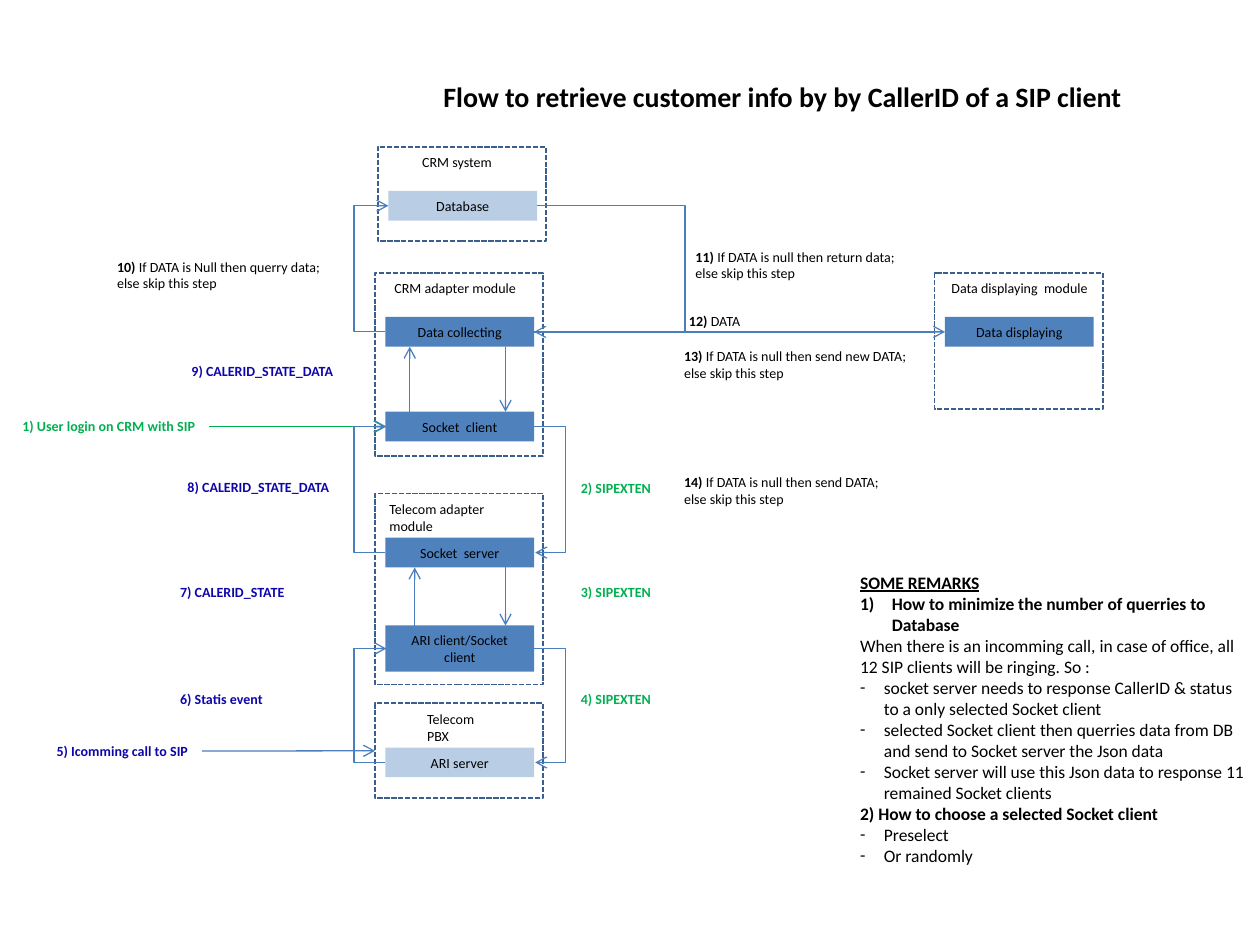
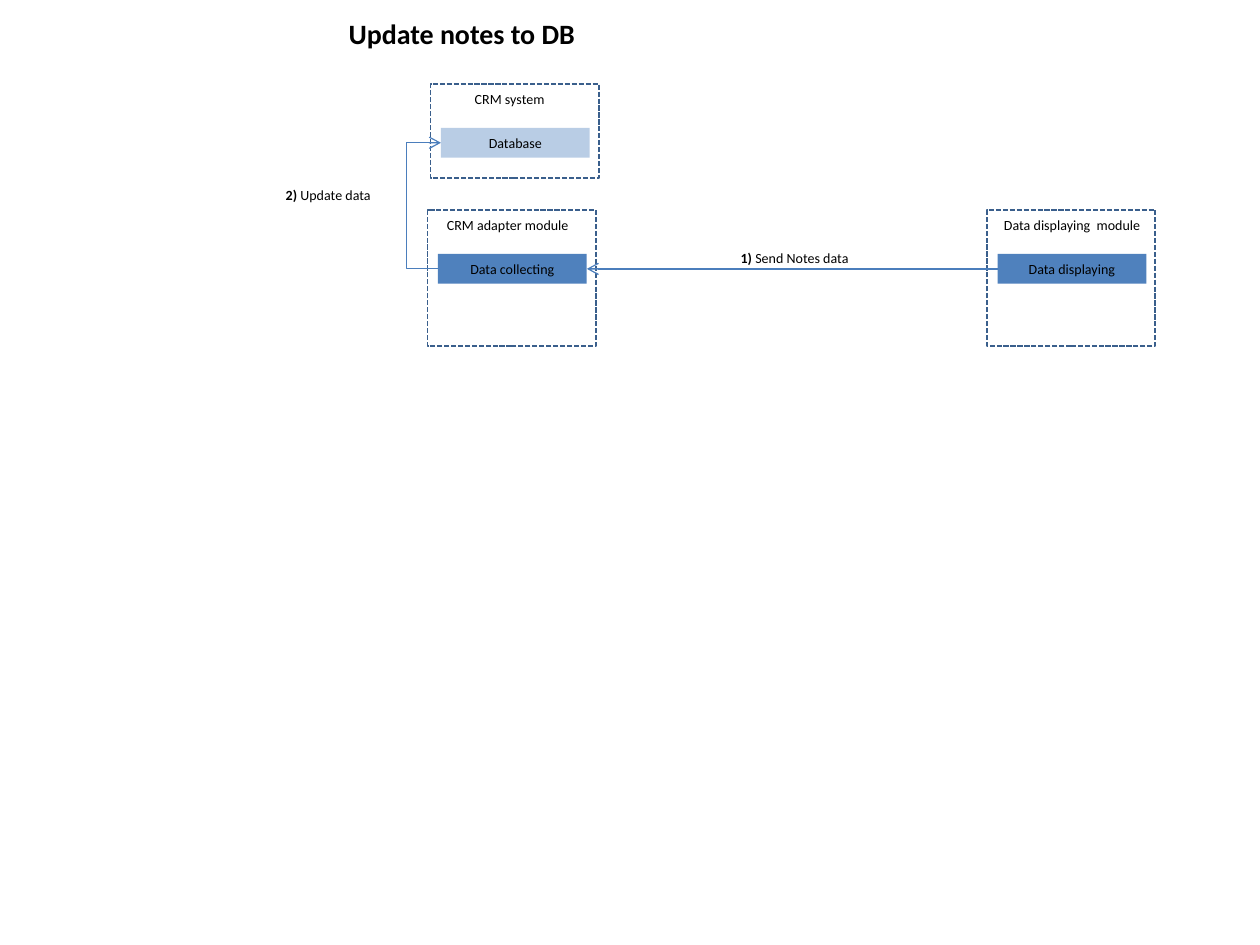
import lxml.etree
import pptx
import pptx.dml.color
import pptx.enum.dml
import pptx.enum.shapes
import pptx.enum.text
import pptx.oxml.ns
import pptx.util

Cm = pptx.util.Cm
RGBColor = pptx.dml.color.RGBColor
qn = pptx.oxml.ns.qn

# Shared look
FONT = "Calibri"
BLACK = RGBColor(0x00, 0x00, 0x00)
GREEN = RGBColor(0x00, 0xB0, 0x50)
NAVY = RGBColor(0x0E, 0x06, 0xAA)
LINE_BLUE = RGBColor(0x4B, 0x7E, 0xBC)
FRAME_BLUE = RGBColor(0x3A, 0x5F, 0x8C)
BOX_BLUE = RGBColor(0x4F, 0x81, 0xBD)
BOX_PALE = RGBColor(0xB9, 0xCD, 0xE5)

# Shared sizes in centimetres
FRAME_WIDTH = 3.39
BOX_WIDTH, BOX_HEIGHT = 3.0, 0.6
BOX_INSET, BOX_DROP = 0.21, 0.89
TWO_LINES = 0.93
ELBOW_GAP = 0.63
COLUMN = 7.56
TOP, LEFT, BOTTOM, RIGHT = range(4)


# Text
def add_run(paragraph, text, size=8, color=BLACK, bold=False, underline=None):
    run = paragraph.add_run()
    run.text = text
    run.font.name = FONT
    run.font.size = pptx.util.Pt(size)
    run.font.color.rgb = color
    run.font.bold = bold
    run.font.underline = underline


def add_label(slide, left, top, width, *lines, height=BOX_HEIGHT, **style):
    """Each line is a text, or a pair of a bold number and a text."""
    label = slide.shapes.add_textbox(Cm(left), Cm(top), Cm(width), Cm(height))
    frame = label.text_frame
    frame.word_wrap = False
    frame.auto_size = pptx.enum.text.MSO_AUTO_SIZE.SHAPE_TO_FIT_TEXT
    for index, line in enumerate(lines):
        paragraph = frame.add_paragraph() if index else frame.paragraphs[0]
        if isinstance(line, tuple):
            number, line = line
            add_run(paragraph, number + " ", bold=True)
        add_run(paragraph, line, **style)
    return label


def add_title(slide, left, top, width, text):
    add_label(slide, left, top, width, text, height=0.94, size=16, bold=True)


def add_bullet(paragraph, tag, indent, **attributes):
    properties = paragraph._p.get_or_add_pPr()
    properties.set("marL", str(Cm(indent)))
    properties.set("indent", str(-Cm(indent)))
    lxml.etree.SubElement(properties, qn("a:buFont"), typeface=FONT)
    lxml.etree.SubElement(properties, qn(tag), **attributes)


# Boxes and modules
def add_rectangle(slide, left, top, width, height):
    shape = slide.shapes.add_shape(pptx.enum.shapes.MSO_SHAPE.RECTANGLE,
                                   Cm(left), Cm(top), Cm(width), Cm(height))
    shape.shadow.inherit = False
    return shape


def add_box(slide, left, top, text, fill=BOX_BLUE, height=BOX_HEIGHT):
    box = add_rectangle(slide, left, top, BOX_WIDTH, height)
    box.fill.solid()
    box.fill.fore_color.rgb = fill
    box.line.fill.background()
    box.text_frame.word_wrap = True
    box.text_frame.vertical_anchor = pptx.enum.text.MSO_ANCHOR.MIDDLE
    paragraph = box.text_frame.paragraphs[0]
    paragraph.alignment = pptx.enum.text.PP_ALIGN.CENTER
    add_run(paragraph, text)
    return box


def add_module(slide, left, top, height, name, name_inset, name_width, part, fill=BOX_BLUE):
    """Dashed frame with a name and its first box; returns frame and box."""
    frame = add_rectangle(slide, left, top, FRAME_WIDTH, height)
    frame.fill.background()
    frame.line.color.rgb = FRAME_BLUE
    frame.line.width = pptx.util.Pt(1)
    frame.line.dash_style = pptx.enum.dml.MSO_LINE.SQUARE_DOT
    add_label(slide, left + name_inset, top + 0.02, name_width, name)
    return frame, add_box(slide, left + BOX_INSET, top + BOX_DROP, part, fill)


# Arrows
def style_arrow(connector, color=LINE_BLUE):
    connector.line.color.rgb = color
    connector.line.width = pptx.util.Pt(0.75)
    properties = connector.element.spPr
    lxml.etree.SubElement(properties.find(qn("a:ln")), qn("a:tailEnd"), type="arrow")
    lxml.etree.SubElement(properties, qn("a:effectLst"))


def join(slide, start, start_side, end, end_side, color=LINE_BLUE):
    connector = slide.shapes.add_connector(
        pptx.enum.shapes.MSO_CONNECTOR.STRAIGHT, 0, 0, 0, 0)
    connector.begin_connect(start, start_side)
    connector.end_connect(end, end_side)
    style_arrow(connector, color)


def add_vertical_arrow(slide, x, start, end):
    """Run between the facing edges of two boxes, one above the other."""
    if start.top < end.top:
        from_y, to_y = start.top + start.height, end.top
    else:
        from_y, to_y = start.top, end.top + end.height
    style_arrow(slide.shapes.add_connector(
        pptx.enum.shapes.MSO_CONNECTOR.STRAIGHT, Cm(x), from_y, Cm(x), to_y))


def add_elbow(slide, start, end, side, gap=ELBOW_GAP):
    """Leave and enter on the same side, turning at a gap from the start."""
    def edge(shape):
        return shape.left + (shape.width if side == RIGHT else 0)

    start_x, end_x = edge(start), edge(end)
    if start_x == end_x:  # the bend is a share of the width, so it must not be zero
        end_x += Cm(0.02)
    connector = slide.shapes.add_connector(
        pptx.enum.shapes.MSO_CONNECTOR.ELBOW,
        start_x, start.top + start.height // 2, end_x, end.top + end.height // 2)
    bend = Cm(gap if side == RIGHT else -gap) / (end_x - start_x)
    geometry = connector.element.spPr.find(qn("a:prstGeom"))
    guides = geometry.find(qn("a:avLst"))
    if guides is None:
        guides = lxml.etree.SubElement(geometry, qn("a:avLst"))
    lxml.etree.SubElement(guides, qn("a:gd"), name="adj1", fmla=f"val {round(bend * 100000)}")
    style_arrow(connector)


# Parts of the flow
def add_crm_part(slide, shift_x, shift_y, adapter_height):
    """The three CRM modules, which both slides show."""
    left, top = COLUMN + shift_x, 5.5 + shift_y
    _, database = add_module(slide, left + 0.06, 2.96 + shift_y, 1.9,
                             "CRM system", 0.64, 1.93, "Database", BOX_PALE)
    _, collecting = add_module(slide, left, top, adapter_height,
                               "CRM adapter module", 0.14, 3.0, "Data collecting")
    _, displaying = add_module(slide, left + 11.28, top, 2.75,
                               "Data displaying  module", 0.09, 3.3, "Data displaying")
    add_elbow(slide, collecting, database, LEFT)
    return database, collecting, displaying


def add_remarks(slide):
    remarks = [
        ("", "SOME REMARKS", True),
        ("1)", "How to minimize the number of querries to Database", True),
        ("", "When there is an incomming call, in case of office, all 12 SIP clients "
             "will be ringing. So :", False),
        ("-", "socket server needs to response CallerID & status to a only selected "
              "Socket client", False),
        ("-", "selected Socket client then querries data from DB and send to Socket "
              "server the Json data", False),
        ("-", "Socket server will use this Json data to response 11 remained Socket "
              "clients", False),
        ("", "2) How to choose a selected Socket client", True),
        ("-", "Preselect", False),
        ("-", "Or randomly", False),
    ]
    frame = slide.shapes.add_textbox(Cm(17.09), Cm(11.4), Cm(8.33), Cm(6.25)).text_frame
    frame.word_wrap = True
    for index, (bullet, text, bold) in enumerate(remarks):
        paragraph = frame.add_paragraph() if index else frame.paragraphs[0]
        if bullet == "-":
            add_bullet(paragraph, "a:buChar", 0.48, char="-")
        elif bullet:
            add_bullet(paragraph, "a:buAutoNum", 0.64, type="arabicParenR")
        add_run(paragraph, text, size=10, bold=bold, underline=index == 0)


def build_retrieve_slide(slide):
    add_title(slide, 8.69, 1.47, 14.22,
              "Flow to retrieve customer info by by CallerID of a SIP client")

    # Modules and their boxes
    database, collecting, displaying = add_crm_part(slide, 0, 0, 3.69)
    _, socket_server = add_module(slide, COLUMN, 9.95, 3.85,
                                  "Telecom adapter module", 0.04, 3.35, "Socket  server")
    exchange, ari_server = add_module(slide, COLUMN, 14.18, 1.91,
                                      "Telecom PBX", 0.8, 1.93, "ARI server", BOX_PALE)
    box_left = COLUMN + BOX_INSET
    socket_client = add_box(slide, box_left, 8.3, "Socket  client")
    ari_client = add_box(slide, box_left, 12.61, "ARI client/Socket client", height=TWO_LINES)

    # Steps
    login = add_label(slide, 0.2, 8.3, 4.01, "1) User login on CRM with SIP",
                      color=GREEN, bold=True)
    call = add_label(slide, 0.89, 14.84, 3.18, "5) Icomming call to SIP",
                     color=NAVY, bold=True)
    for number, top in ((2, 9.55), (3, 11.63), (4, 13.79)):
        add_label(slide, 11.46, top, 1.93, f"{number}) SIPEXTEN", color=GREEN, bold=True)
    for left, top, width, text in (
            (3.38, 13.79, 2.18, "6) Statis event"),
            (3.38, 11.63, 2.67, "7) CALERID_STATE"),
            (3.53, 9.52, 3.48, "8) CALERID_STATE_DATA"),
            (3.61, 7.19, 3.48, "9) CALERID_STATE_DATA")):
        add_label(slide, left, top, width, text, color=NAVY, bold=True)
    for left, top, width, number, condition in (
            (2.11, 5.08, 4.67, "10)", "If DATA is Null then querry data;"),
            (13.77, 4.88, 4.6, "11)", "If DATA is null then return data;"),
            (13.54, 6.88, 5.11, "13)", "If DATA is null then send new DATA;"),
            (13.54, 9.42, 4.55, "14)", "If DATA is null then send DATA;")):
        add_label(slide, left, top, width, (number, condition), "else skip this step",
                  height=TWO_LINES)
    add_label(slide, 13.64, 6.17, 1.6, ("12)", "DATA"))

    # Arrows
    join(slide, login, RIGHT, socket_client, LEFT, GREEN)
    join(slide, call, RIGHT, exchange, LEFT)
    join(slide, collecting, RIGHT, displaying, LEFT)
    add_elbow(slide, database, collecting, RIGHT, gap=2.98)
    add_elbow(slide, socket_client, socket_server, RIGHT)
    add_elbow(slide, ari_client, ari_server, RIGHT)
    add_elbow(slide, ari_server, ari_client, LEFT)
    add_elbow(slide, socket_server, socket_client, LEFT)
    add_vertical_arrow(slide, 8.26, socket_client, collecting)
    add_vertical_arrow(slide, 10.19, collecting, socket_client)
    add_vertical_arrow(slide, 8.36, ari_client, socket_server)
    add_vertical_arrow(slide, 10.19, socket_server, ari_client)

    add_remarks(slide)


def build_update_slide(slide):
    add_title(slide, 6.78, 0.2, 5.13, "Update notes to DB")
    _, collecting, displaying = add_crm_part(slide, 1.06, -1.27, 2.75)
    join(slide, displaying, LEFT, collecting, RIGHT)
    add_label(slide, 14.68, 4.9, 2.72, ("1)", "Send Notes data"))
    add_label(slide, 5.51, 3.63, 2.26, ("2)", "Update data"))


def main():
    presentation = pptx.Presentation()
    presentation.slide_width, presentation.slide_height = Cm(25.4), Cm(19.05)
    blank = presentation.slide_layouts[6]
    for build in (build_retrieve_slide, build_update_slide):
        build(presentation.slides.add_slide(blank))
    presentation.save("out.pptx")


if __name__ == "__main__":
    main()
